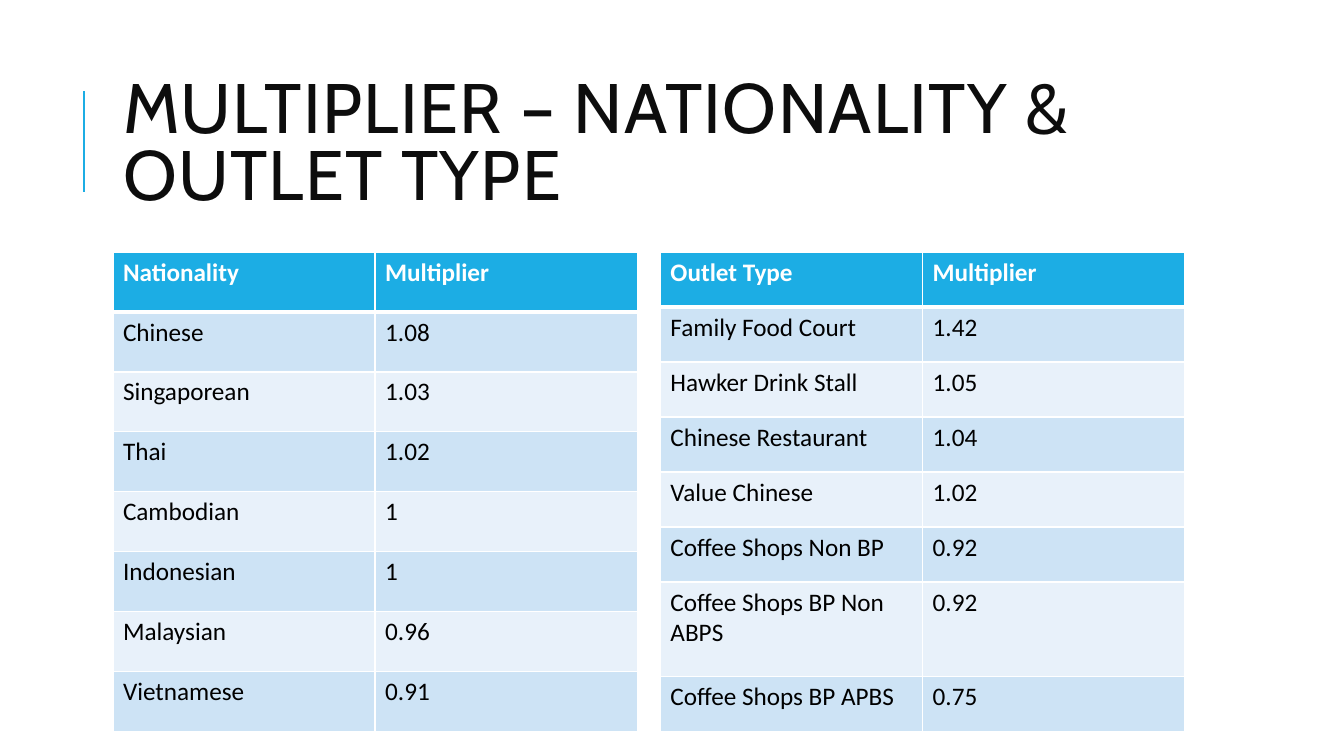
from dataclasses import dataclass

from lxml import etree
from pptx import Presentation
from pptx import util as u
from pptx.dml.color import RGBColor
from pptx.enum import shapes, text
from pptx.oxml import ns


@dataclass(frozen=True)
class Theme:
    """Colours, fonts and type sizes of the slide."""
    accent: str = "1CADE4"
    bands: tuple = ("CDE3F5", "E8F1FA")
    white: str = "FFFFFF"
    black: str = "000000"
    title_color: str = "0D0D0D"
    title_font: str = "Cabin"
    body_font: str = "Calibri"
    title_size: int = 50
    body_size: int = 18
    tracking: int = 100


class SlideBuilder:
    """Places styled elements on a two-column grid in inches."""
    left, column_width, gutter = 1.12, 5.2, 0.23

    def __init__(self, presentation, theme):
        """Add a title-only slide."""
        self.theme = theme
        self.slide = presentation.slides.add_slide(presentation.slide_layouts[5])

    def span(self, column, columns=1):
        """Return the left edge and width of a run of columns."""
        pitch = self.column_width + self.gutter
        return u.Inches(self.left + column * pitch), u.Inches(columns * pitch - self.gutter)

    def format_text(self, frame, font, size, color, bold=False):
        """Format every run of a text frame."""
        for paragraph in frame.paragraphs:
            for run in paragraph.runs:
                run.font.name = font
                run.font.size = u.Pt(size)
                run.font.bold = bold
                run.font.color.rgb = RGBColor.from_string(color)

    def title(self, wording, top, height):
        """Fill and place the title placeholder."""
        shape = self.slide.shapes.title
        shape.left, shape.width = self.span(0, 2)
        shape.top, shape.height = u.Inches(top), u.Inches(height)
        frame = shape.text_frame
        frame.text = wording
        frame.word_wrap = True
        frame.auto_size = text.MSO_AUTO_SIZE.NONE
        frame.vertical_anchor = text.MSO_ANCHOR.MIDDLE
        paragraph = frame.paragraphs[0]
        paragraph.alignment = text.PP_ALIGN.LEFT
        paragraph.line_spacing = 0.8
        self.format_text(frame, self.theme.title_font, self.theme.title_size,
                         self.theme.title_color)
        paragraph.runs[0].font._element.set("spc", str(self.theme.tracking))

    def rule(self, x, top, bottom):
        """Draw a vertical accent line."""
        line = self.slide.shapes.add_connector(
            shapes.MSO_CONNECTOR.STRAIGHT,
            u.Inches(x), u.Inches(bottom), u.Inches(x), u.Inches(top))
        line.line.color.rgb = RGBColor.from_string(self.theme.accent)
        line.line.width = u.Pt(1.5)
        etree.SubElement(line._element.spPr, ns.qn("a:effectLst"))

    def border(self, cell, side, points):
        """Draw a white border on one side of a cell."""
        properties = cell._tc.get_or_add_tcPr()
        line = etree.SubElement(properties, ns.qn(f"a:ln{side}"), w=str(u.Pt(points)))
        fill = etree.SubElement(line, ns.qn("a:solidFill"))
        etree.SubElement(fill, ns.qn("a:srgbClr"), val=self.theme.white)

    def cell(self, cell, wording, row):
        """Fill and format one table cell."""
        theme, header = self.theme, row == 0
        cell.text = wording
        self.format_text(cell.text_frame, theme.body_font, theme.body_size,
                         theme.white if header else theme.black, header)
        for side in "LRTB":
            thick = (header and side == "B") or (row == 1 and side == "T")
            self.border(cell, side, 3 if thick else 1)
        cell.fill.solid()
        color = theme.accent if header else theme.bands[(row - 1) % 2]
        cell.fill.fore_color.rgb = RGBColor.from_string(color)

    def table(self, column, top, height, rows, tall_rows=None):
        """Add a banded table whose other rows share the height left by tall rows."""
        tall_rows = tall_rows or {}
        left, width = self.span(column)
        table = self.slide.shapes.add_table(
            len(rows), len(rows[0]), left, u.Inches(top), width, u.Inches(height)).table
        shared = (height - sum(tall_rows.values())) / (len(rows) - len(tall_rows))
        for row, values in enumerate(rows):
            table.rows[row].height = u.Inches(tall_rows.get(row, shared))
            for position, wording in enumerate(values):
                self.cell(table.cell(row, position), wording, row)


NATIONALITIES = [
    ("Nationality", "Multiplier"),
    ("Chinese", "1.08"),
    ("Singaporean", "1.03"),
    ("Thai", "1.02"),
    ("Cambodian", "1"),
    ("Indonesian", "1"),
    ("Malaysian", "0.96"),
    ("Vietnamese", "0.91"),
]
OUTLET_TYPES = [
    ("Outlet Type", "Multiplier"),
    ("Family Food Court", "1.42"),
    ("Hawker Drink Stall", "1.05"),
    ("Chinese Restaurant", "1.04"),
    ("Value Chinese", "1.02"),
    ("Coffee Shops Non BP", "0.92"),
    ("Coffee Shops BP Non ABPS", "0.92"),
    ("Coffee Shops BP APBS", "0.75"),
]


def main():
    """Build and save the multiplier slide."""
    presentation = Presentation()
    presentation.slide_width, presentation.slide_height = u.Inches(13.33), u.Inches(7.5)
    builder = SlideBuilder(presentation, Theme())
    builder.rule(0.83, 0.9, 1.9)
    builder.title("MULTIPLIER – NATIONALITY & OUTLET TYPE", 0.64, 1.64)
    builder.table(0, 2.5, 4.76, NATIONALITIES)
    builder.table(1, 2.5, 4.76, OUTLET_TYPES, {6: 0.94})
    presentation.save("out.pptx")


if __name__ == "__main__":
    main()
